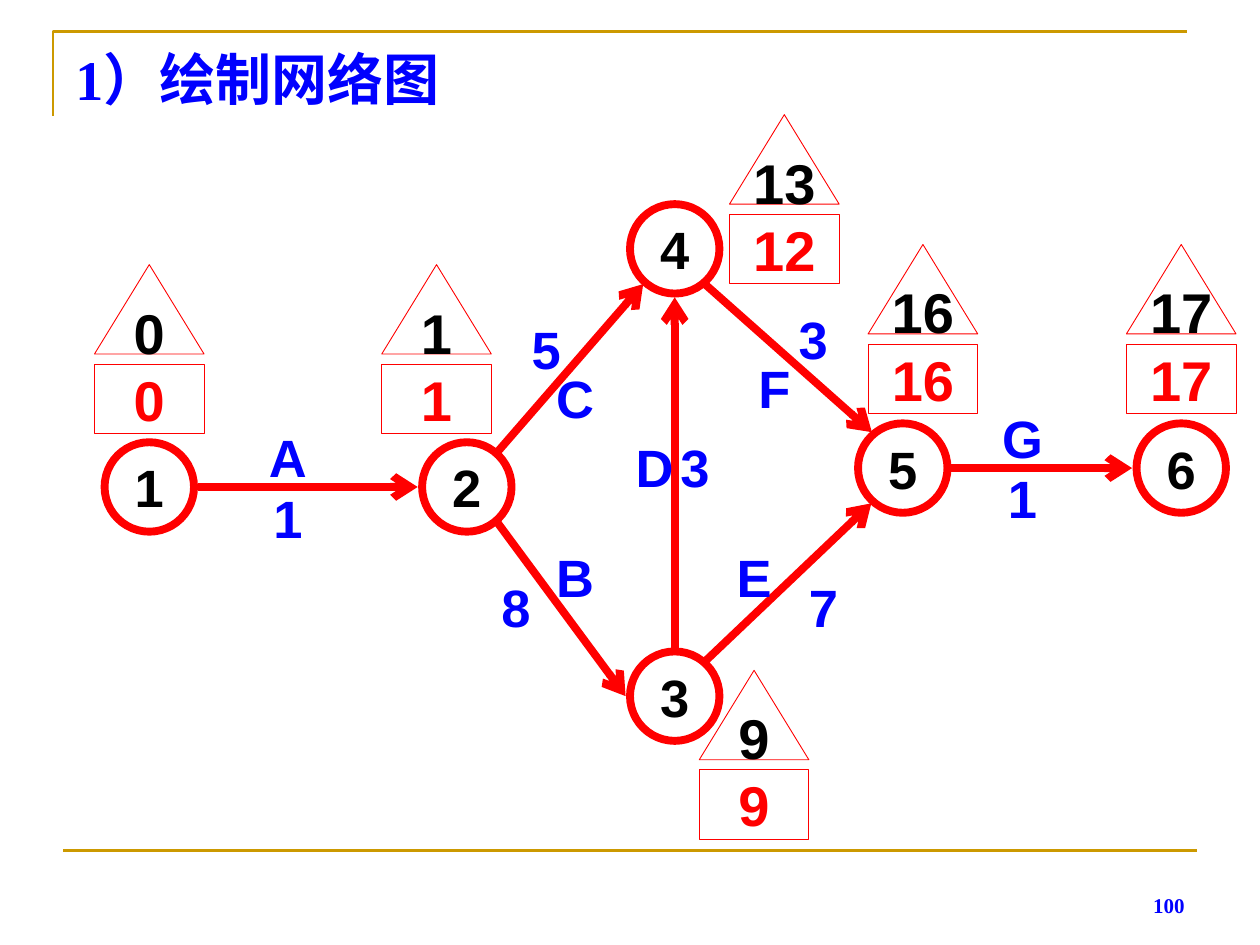
"""Build a slide with an activity network and its event times."""
from lxml import etree
from pptx import Presentation, util as u
from pptx.dml import color
from pptx.enum import shapes, text
from pptx.oxml import ns

BLUE, RED, BLACK, GOLD = "0000FF", "FF0000", "000000", "CC9900"
NODE = 7.1
PORTS = {
    "east": (7.4, 3.55), "west": (-0.35, 3.55),
    "north": (3.55, -0.3), "south": (3.55, 7.4),
    "northeast": (6, 0.75), "southeast": (6, 6.4),
    "northwest": (1.1, 0.7), "southwest": (1.05, 6.35),
}
NODES = {
    "1": (8.3, 35.1), "2": (33.5, 35.1), "3": (50, 51.7),
    "4": (50, 16.2), "5": (68.1, 33.6), "6": (90.2, 33.6),
}
ACTIVITIES = [
    ("1", "east", "2", "west"),
    ("2", "northeast", "4", "southwest"),
    ("2", "southeast", "3", "west"),
    ("4", "southeast", "5", "northwest"),
    ("3", "northeast", "5", "southwest"),
    ("5", "east", "6", "west"),
    ("3", "north", "4", "south"),
]
LABELS = [
    ("A", 19.3, 34.3), ("1", 19.3, 39.1),
    ("B", 42.1, 43.8), ("8", 37.4, 46.2),
    ("C", 42.1, 29.6), ("5", 39.8, 25.7),
    ("D", 48.4, 35.1), ("3", 51.6, 35.1),
    ("E", 56.3, 43.8), ("7", 61.8, 46.2),
    ("F", 57.9, 28.8), ("3", 61, 24.9),
    ("G", 77.6, 32.8), ("1", 77.6, 37.5),
]
TIMES = [
    ("0", "0", 7.5, 21), ("1", "1", 30.3, 21), ("9", "9", 55.5, 53.2),
    ("16", "16", 68.9, 19.4), ("17", "17", 89.4, 19.4), ("13", "12", 57.9, 9.1),
]


def rgb(value):
    """Return the colour for a hex string."""
    return color.RGBColor.from_string(value)


class NetworkSlide:
    """Hold the style and the slide, on a grid of 100 columns by 75 rows."""

    def __init__(self, presentation):
        """Add a blank slide and derive the grid unit."""
        self.slide = presentation.slides.add_slide(presentation.slide_layouts[6])
        self.unit = presentation.slide_width / 100

    def grid(self, *values):
        """Turn grid units into lengths."""
        return [u.Emu(round(value * self.unit)) for value in values]

    def set_words(self, shape, words, size, ink, font="Arial", align=text.PP_ALIGN.CENTER,
                  anchor=text.MSO_ANCHOR.MIDDLE, wrap=False):
        """Put one formatted paragraph into a shape."""
        frame = shape.text_frame
        frame.text = words
        frame.word_wrap = wrap
        frame.vertical_anchor = anchor
        paragraph = frame.paragraphs[0]
        paragraph.alignment = align
        run_font = paragraph.runs[0].font
        run_font.name, run_font.size, run_font.bold = font, u.Pt(size), True
        run_font.color.rgb = rgb(ink)

    def label(self, words, box, size=30, **style):
        """Add blue text in a box."""
        self.set_words(self.slide.shapes.add_textbox(*self.grid(*box)), words, size, BLUE, **style)

    def outline(self, kind, words, box, weight, size, ink):
        """Add an unfilled red shape with text."""
        shape = self.slide.shapes.add_shape(kind, *self.grid(*box))
        shape.shadow.inherit = False
        shape.fill.background()
        shape.line.color.rgb = rgb(RED)
        shape.line.width = u.Pt(weight)
        self.set_words(shape, words, size, ink)

    def line(self, start, end, ink, weight, arrow=False):
        """Add a straight line, with an open arrowhead on request."""
        connector = self.slide.shapes.add_connector(
            shapes.MSO_CONNECTOR.STRAIGHT, *self.grid(*start, *end))
        connector.line.color.rgb = rgb(ink)
        connector.line.width = u.Pt(weight)
        if arrow:
            etree.SubElement(connector.line._get_or_add_ln(), ns.qn("a:tailEnd"), type="arrow")
        etree.SubElement(connector._element.spPr, ns.qn("a:effectLst"))

    def corner(self, points):
        """Add an open gold outline through the points."""
        start, *others = [self.grid(*point) for point in points]
        builder = self.slide.shapes.build_freeform(*start)
        builder.add_line_segments(others, close=False)
        shape = builder.convert_to_shape()
        shape.shadow.inherit = False
        shape.fill.background()
        shape.line.color.rgb = rgb(GOLD)
        shape.line.width = u.Pt(1.5)

    def activity(self, source, source_port, target, target_port):
        """Add an arrow between the ports of two nodes."""
        ends = [[place + shift for place, shift in zip(NODES[node], PORTS[port])]
                for node, port in ((source, source_port), (target, target_port))]
        self.line(*ends, RED, 4.5, arrow=True)

    def times(self, earliest, latest, left, top):
        """Add a triangle above a box with the times of an event."""
        kinds = shapes.MSO_SHAPE
        self.outline(kinds.RECTANGLE, latest, (left, top + 7.9, 8.7, 5.5), 0.5, 32, RED)
        self.outline(kinds.ISOSCELES_TRIANGLE, earliest, (left, top, 8.7, 7.1), 0.5, 32, BLACK)


def main():
    """Build and save the presentation."""
    presentation = Presentation()
    presentation.slide_width, presentation.slide_height = u.Inches(10), u.Inches(7.5)
    network = NetworkSlide(presentation)
    network.corner([(4.2, 9.2), (4.2, 2.5), (94.2, 2.5)])
    network.line((5, 67.5), (95, 67.5), GOLD, 1.5)
    network.label("1）绘制网络图", (5, 3, 90, 12.5), 32, font="Times New Roman",
                  align=text.PP_ALIGN.LEFT, anchor=text.MSO_ANCHOR.TOP, wrap=True)
    for name, place in NODES.items():
        network.outline(shapes.MSO_SHAPE.OVAL, name, (*place, NODE, NODE), 4.5, 30, BLACK)
    for activity in ACTIVITIES:
        network.activity(*activity)
    for words, left, top in LABELS:
        network.label(words, (left, top, 7.1, 3.9))
    for event in TIMES:
        network.times(*event)
    network.label("100", (71.7, 68.3, 23.3, 5), 12, font="Times New Roman",
                  align=text.PP_ALIGN.RIGHT, anchor=text.MSO_ANCHOR.BOTTOM, wrap=True)
    presentation.save("out.pptx")


if __name__ == "__main__":
    main()
